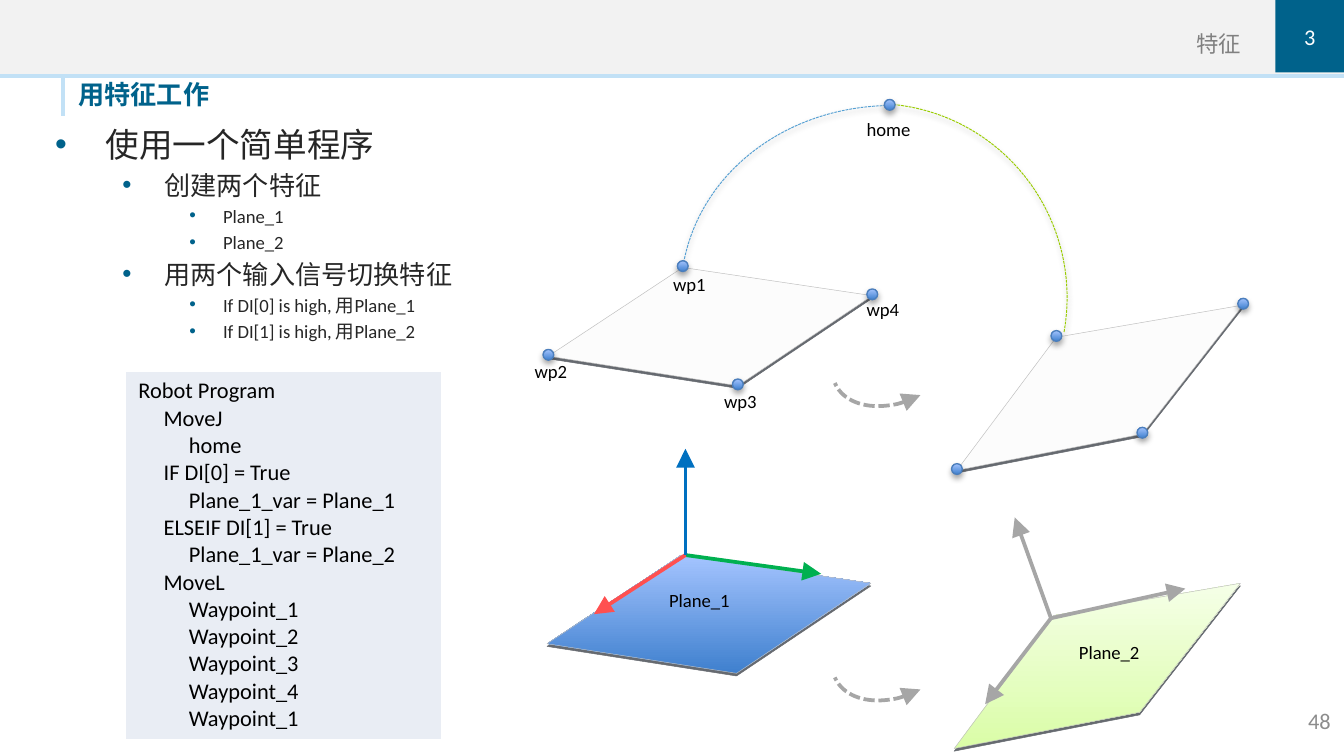
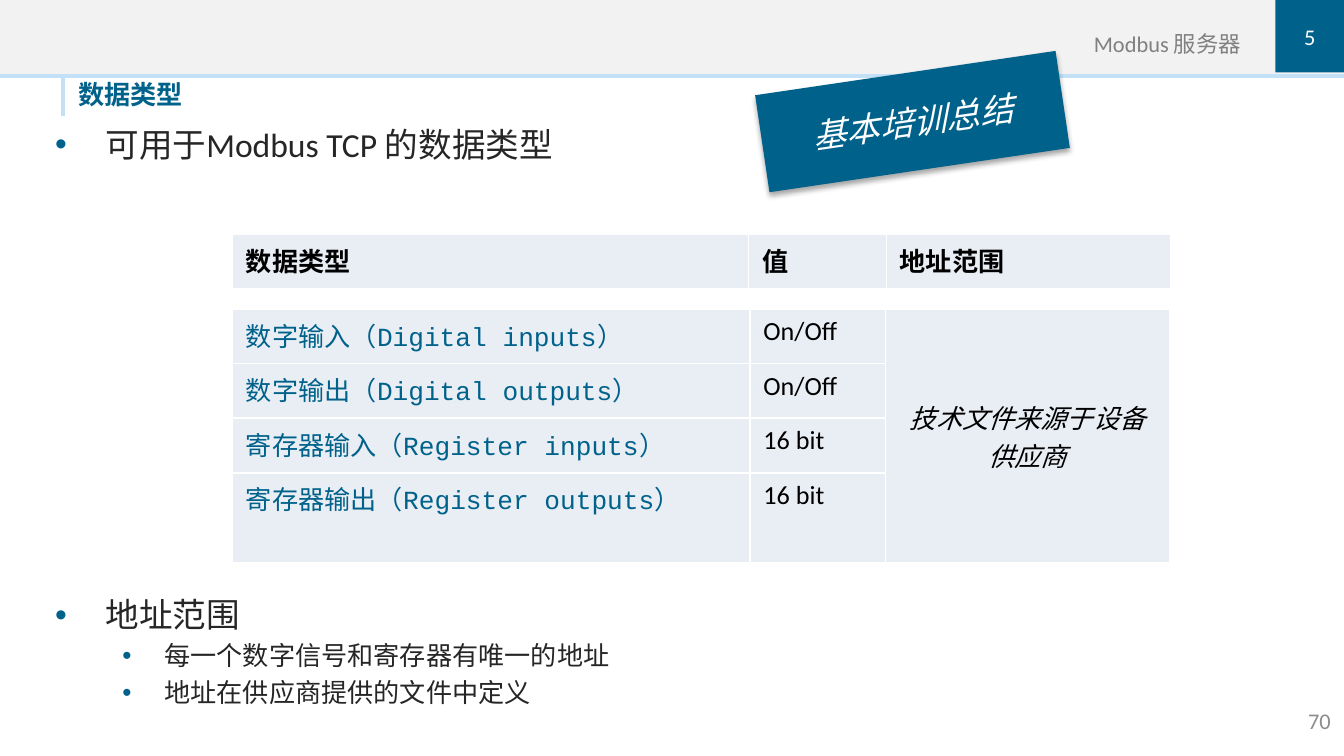
import dataclasses

import lxml.etree
import pptx
import pptx.dml.color
import pptx.enum.dml
import pptx.enum.shapes
import pptx.enum.text
import pptx.oxml
import pptx.oxml.ns
import pptx.util


@dataclasses.dataclass(frozen=True)
class Theme:
    navy: str = "00628B"
    sky: str = "C2E1F6"
    band: str = "F2F2F2"
    cell: str = "E9EDF4"
    body: str = "262626"
    section: str = "808080"
    page: str = "8C8C8C"
    black: str = "000000"
    white: str = "FFFFFF"
    arrow: str = "A6A6A6"
    plane: str = "FCFCFC"
    edge: str = "666A70"
    hairline: str = "BFBFBF"
    blue_line: str = "4B7EBC"
    blue: tuple = ("3F80CE", "A4C4FF")
    green: tuple = ("DAFDA7", "F5FFE7")
    font: str = "Calibri"
    mono: str = "Courier New"
    level_sizes: tuple = (18, 14, 10)
    heading: int = 14
    small: int = 12
    label: int = 10


theme = Theme()
rgb = pptx.dml.color.RGBColor.from_string
shape_kind = pptx.enum.shapes.MSO_SHAPE
straight = pptx.enum.shapes.MSO_CONNECTOR.STRAIGHT
align = pptx.enum.text.PP_ALIGN
anchor = pptx.enum.text.MSO_ANCHOR
dashed = pptx.enum.dml.MSO_LINE.SQUARE_DOT
qn = pptx.oxml.ns.qn
DRAWING = 'xmlns:a="http://schemas.openxmlformats.org/drawingml/2006/main"'
COLUMNS, ROWS = 100, 56.25
INDENTS = ((3.75, -3.75), (8.13, -3.13), (12.5, -2.5))
ARROWHEAD = {"type": "triangle", "w": "lg", "len": "lg"}


def grid(*cells):
    """Turn grid columns and rows, a tenth of an inch each, into lengths."""
    return [pptx.util.Inches(cell / 10) for cell in cells]


def write(paragraph, text, size, color, font=theme.font, bold=False, italic=False):
    run = paragraph.add_run()
    run.text = text
    run.font.name, run.font.size = font, pptx.util.Pt(size)
    run.font.bold, run.font.italic = bold, italic
    run.font.color.rgb = rgb(color)


presentation = pptx.Presentation()
presentation.slide_width, presentation.slide_height = grid(COLUMNS, ROWS)

# Title, section, section number, page, list of (level, text, space before in points)
contents = [
    ("用特征工作", "特征", "3", "48", [
        (0, "使用一个简单程序", 0),
        (1, "创建两个特征", None),
        (2, "Plane_1", None),
        (2, "Plane_2", None),
        (1, "用两个输入信号切换特征", None),
        (2, "If DI[0] is high, 用Plane_1", None),
        (2, "If DI[1] is high, 用Plane_2", None),
    ]),
    ("数据类型", "Modbus 服务器", "5", "70", [
        (0, "可用于Modbus TCP 的数据类型", 0),
        (0, "地址范围", 230.5),
        (1, "每一个数字信号和寄存器有唯一的地址", None),
        (1, "地址在供应商提供的文件中定义", None),
    ]),
]

for title, section, number, page, items in contents:
    slide = presentation.slides.add_slide(presentation.slide_layouts[1])

    for height, color in ((5.8, theme.sky), (5.5, theme.band)):
        band = slide.shapes.add_shape(shape_kind.RECTANGLE, *grid(0, 0, COLUMNS, height))
        band.shadow.inherit = False
        band.fill.solid()
        band.fill.fore_color.rgb = rgb(color)
        band.line.fill.background()
    title_bar = slide.shapes.add_connector(straight, *grid(4.7, 5.8, 4.7, 8.6))
    title_bar.line.color.rgb = rgb(theme.sky)
    title_bar.line.width = pptx.util.Pt(2.5)
    lxml.etree.SubElement(title_bar.element.spPr, qn("a:effectLst"))

    heading = slide.shapes.title
    heading.left, heading.top, heading.width, heading.height = grid(5.83, 5.85, 44.1, 2.8)
    body = slide.placeholders[1]
    body.left, body.top, body.width, body.height = grid(3.1, 5.5, 87.1, 53.6)
    section_box = slide.shapes.add_textbox(*grid(50, 0, 42.35, 4.25))
    number_box = slide.shapes.add_shape(shape_kind.RECTANGLE, *grid(94.9, 0, 5.1, 5.4))
    number_box.shadow.inherit = False
    number_box.fill.solid()
    number_box.fill.fore_color.rgb = rgb(theme.navy)
    number_box.line.fill.background()
    page_box = slide.shapes.add_textbox(*grid(90, 52.15, 10, 3))

    for shape, text, size, color, side, vertical, margins in (
        (heading, title, theme.heading, theme.navy, align.LEFT, anchor.TOP, (0, 0, 0, 0.4)),
        (section_box, section, theme.small, theme.section, align.RIGHT, anchor.BOTTOM, (0, 0, 0, 0)),
        (number_box, number, theme.small, theme.white, align.CENTER, anchor.MIDDLE, (0, 0, 0, 0)),
        (page_box, page, theme.small, theme.page, align.RIGHT, anchor.MIDDLE, (1, 0.5, 1, 0.5)),
    ):
        frame = shape.text_frame
        frame.word_wrap = True
        frame.auto_size = pptx.enum.text.MSO_AUTO_SIZE.NONE
        frame.vertical_anchor = vertical
        (frame.margin_left, frame.margin_top,
         frame.margin_right, frame.margin_bottom) = grid(*margins)
        frame.paragraphs[0].alignment = side
        write(frame.paragraphs[0], text, size, color, bold=shape is heading)

    frame = body.text_frame
    frame.word_wrap = True
    frame.auto_size = pptx.enum.text.MSO_AUTO_SIZE.NONE
    frame.vertical_anchor = anchor.TOP
    frame.margin_top, = grid(3.7)
    for index, (level, text, space) in enumerate(items):
        paragraph = frame.add_paragraph() if index else frame.paragraphs[0]
        paragraph.level = level
        if space is not None:
            paragraph.space_before = pptx.util.Pt(space)
        properties = paragraph._p.get_or_add_pPr()
        left, first = grid(*INDENTS[level])
        properties.set("marL", str(left))
        properties.set("indent", str(first))
        properties.append(pptx.oxml.parse_xml(
            f'<a:buClr {DRAWING}><a:srgbClr val="{theme.navy}"/></a:buClr>'))
        properties.append(pptx.oxml.parse_xml(f'<a:buChar {DRAWING} char="•"/>'))
        write(paragraph, text, theme.level_sizes[level], theme.body)

feature_slide, data_slide = presentation.slides
shadowed = []

# Robot program
program = """Robot Program
     MoveJ
          home
     IF DI[0] = True
          Plane_1_var = Plane_1
     ELSEIF DI[1] = True
          Plane_1_var = Plane_2
     MoveL
          Waypoint_1
          Waypoint_2
          Waypoint_3
          Waypoint_4
          Waypoint_1"""
program_table = feature_slide.shapes.add_table(1, 1, *grid(9.3, 27.6, 23.6, 26.7)).table
program_table.first_row = program_table.horz_banding = False
program_cell = program_table.cell(0, 0)
program_cell.fill.solid()
program_cell.fill.fore_color.rgb = rgb(theme.cell)
for index, code in enumerate(program.split("\n")):
    frame = program_cell.text_frame
    paragraph = frame.add_paragraph() if index else frame.paragraphs[0]
    write(paragraph, code, theme.small, theme.black)

# Planes: each coloured plane repeats the waypoints of the white one above it
home = (66.2, 7.8)
waypoints_1 = [(40.8, 26.4), (50.8, 19.8), (64.9, 21.9), (54.9, 28.6)]
waypoints_2 = [(71.2, 34.9), (78.6, 25), (92.5, 22.6), (85, 32.2)]
for corners, across, down, colors in (
    (waypoints_1, -0.1, 21.5, theme.blue),
    (waypoints_2, -0.2, 20.8, theme.green),
    (waypoints_1, 0, 0.1, None),
    (waypoints_2, 0, 0.1, None),
):
    for thickness in (0.2, 0):
        points = [grid(x + across, y + down + thickness) for x, y in corners]
        builder = feature_slide.shapes.build_freeform(*points[0])
        builder.add_line_segments(points[1:], close=True)
        plane = builder.convert_to_shape()
        plane.shadow.inherit = False
        plane.line.width = pptx.util.Pt(0.25)
        plane.line.color.rgb = rgb(theme.edge if thickness else theme.hairline)
        if colors and not thickness:
            plane.fill.gradient()
            plane.fill.gradient_angle = 90
            for stop, color in zip(plane.fill.gradient_stops, colors):
                stop.color.rgb = rgb(color)
        else:
            plane.fill.solid()
            plane.fill.fore_color.rgb = rgb(theme.edge if thickness else theme.plane)

# Paths from home and the two change arrows
for place, rotation, angles, color, width, flipped, headed in (
    ((52.4, 6.1, 29.2, 32.8), 279.4, (162, 207.6), "56A0D3", 0.5, False, False),
    ((50.7, 7.8, 28.8, 28.6), 80.6, (150.08, 207.6), "99CC00", 0.5, True, False),
    ((61.6, 22.7, 10.5, 7.1), 152.6, (162, 1.17), theme.arrow, 2, False, True),
    ((61.6, 44.6, 10.5, 7.1), 152.6, (162, 1.17), theme.arrow, 2, False, True),
):
    arc = feature_slide.shapes.add_shape(shape_kind.ARC, *grid(*place))
    arc.adjustments[0], arc.adjustments[1] = angles
    arc.rotation = rotation
    arc.shadow.inherit = False
    arc.fill.background()
    arc.line.color.rgb = rgb(color)
    arc.line.width = pptx.util.Pt(width)
    arc.line.dash_style = dashed
    if flipped:
        arc.element.spPr.find(qn("a:xfrm")).set("flipH", "1")
    if headed:
        outline = arc.element.spPr.find(qn("a:ln"))
        lxml.etree.SubElement(outline, qn("a:headEnd"), ARROWHEAD)
    else:
        shadowed.append(arc)

# Axes of the two planes
for origin, tips in (
    ((51, 41.3), (((61.1, 42.7), "00B050"), ((44.2, 45.7), "FF5050"), ((51, 33.4), "0070C0"))),
    ((78.2, 46), (((88.2, 43.8), theme.arrow), ((73.3, 52.4), theme.arrow), ((75.5, 38.5), theme.arrow))),
):
    for tip, color in tips:
        axis = feature_slide.shapes.add_connector(straight, *grid(*origin, *tip))
        axis.line.color.rgb = rgb(color)
        axis.line.width = pptx.util.Pt(2)
        outline = axis.element.spPr.find(qn("a:ln"))
        lxml.etree.SubElement(outline, qn("a:tailEnd"), ARROWHEAD)
        lxml.etree.SubElement(axis.element.spPr, qn("a:effectLst"))

# Waypoint dots
for x, y in [home, *waypoints_1, *waypoints_2]:
    dot = feature_slide.shapes.add_shape(shape_kind.OVAL, *grid(x - 0.4, y - 0.4, 0.8, 0.8))
    dot.shadow.inherit = False
    dot.fill.gradient()
    dot.fill.gradient_angle = 90
    for stop, color in zip(dot.fill.gradient_stops, theme.blue):
        stop.color.rgb = rgb(color)
    dot.line.color.rgb = rgb(theme.blue_line)
    dot.line.width = pptx.util.Pt(0.75)
    shadowed.append(dot)

for text, left, top, width in (
    ("wp2", 38.8, 26.3, 5.4),
    ("wp1", 49.1, 19.8, 5.4),
    ("wp3", 52.9, 28.5, 5.4),
    ("wp4", 63.5, 21.7, 5.4),
    ("home", 63.5, 8.3, 5.4),
    ("Plane_1", 48.8, 43.3, 9.7),
    ("Plane_2", 79.3, 47.2, 8.6),
):
    label = feature_slide.shapes.add_textbox(*grid(left, top, width, 2.7))
    label.text_frame.word_wrap = True
    write(label.text_frame.paragraphs[0], text, theme.label, theme.black)

# Data types
source = "技术文件来源于设备供应商"
for top, widths, rows in (
    (23, (38.5, 10.1, 21.15), (
        ("数字输入（Digital inputs）", "On/Off", source),
        ("数字输出（Digital outputs）", "On/Off", ""),
        ("寄存器输入（Register inputs）", "16 bit", ""),
        ("寄存器输出（Register outputs）", "16 bit", ""),
    )),
    (17.4, (38.4, 10.25, 21.15), (("数据类型", "值", "地址范围"),)),
):
    is_header = len(rows) == 1
    table = data_slide.shapes.add_table(
        len(rows), 3, *grid(17.3, top, sum(widths), 4.06 * len(rows))).table
    table.first_row = table.horz_banding = False
    for column, width in zip(table.columns, grid(*widths)):
        column.width = width
    if not is_header:
        table.cell(0, 2).merge(table.cell(len(rows) - 1, 2))
    for row, texts in enumerate(rows):
        for column, text in enumerate(texts):
            cell = table.cell(row, column)
            cell.fill.solid()
            cell.fill.fore_color.rgb = rgb(theme.cell)
            paragraph = cell.text_frame.paragraphs[0]
            if text == source:
                cell.vertical_anchor = anchor.MIDDLE
                paragraph.alignment = align.CENTER
            is_name = column == 0 and not is_header
            if text:
                write(paragraph, text, theme.heading,
                      theme.navy if is_name else theme.black,
                      theme.mono if is_name else theme.font,
                      bold=is_header, italic=text == source)

banner = data_slide.shapes.add_shape(shape_kind.RECTANGLE, *grid(56.6, 5.4, 22.6, 7.3))
banner.rotation = 351.6
banner.shadow.inherit = False
banner.fill.solid()
banner.fill.fore_color.rgb = rgb(theme.navy)
banner.line.fill.background()
banner.text_frame.vertical_anchor = anchor.MIDDLE
banner.text_frame.paragraphs[0].alignment = align.CENTER
write(banner.text_frame.paragraphs[0], "基本培训总结", theme.level_sizes[0], theme.white, italic=True)
shadowed.append(banner)

for shape in shadowed:
    shape.element.spPr.find(qn("a:effectLst")).append(pptx.oxml.parse_xml(
        f'<a:outerShdw {DRAWING} blurRad="39400" dist="22900" dir="5400000" rotWithShape="0">'
        f'<a:srgbClr val="{theme.black}"><a:alpha val="35000"/></a:srgbClr></a:outerShdw>'))

presentation.save("out.pptx")
